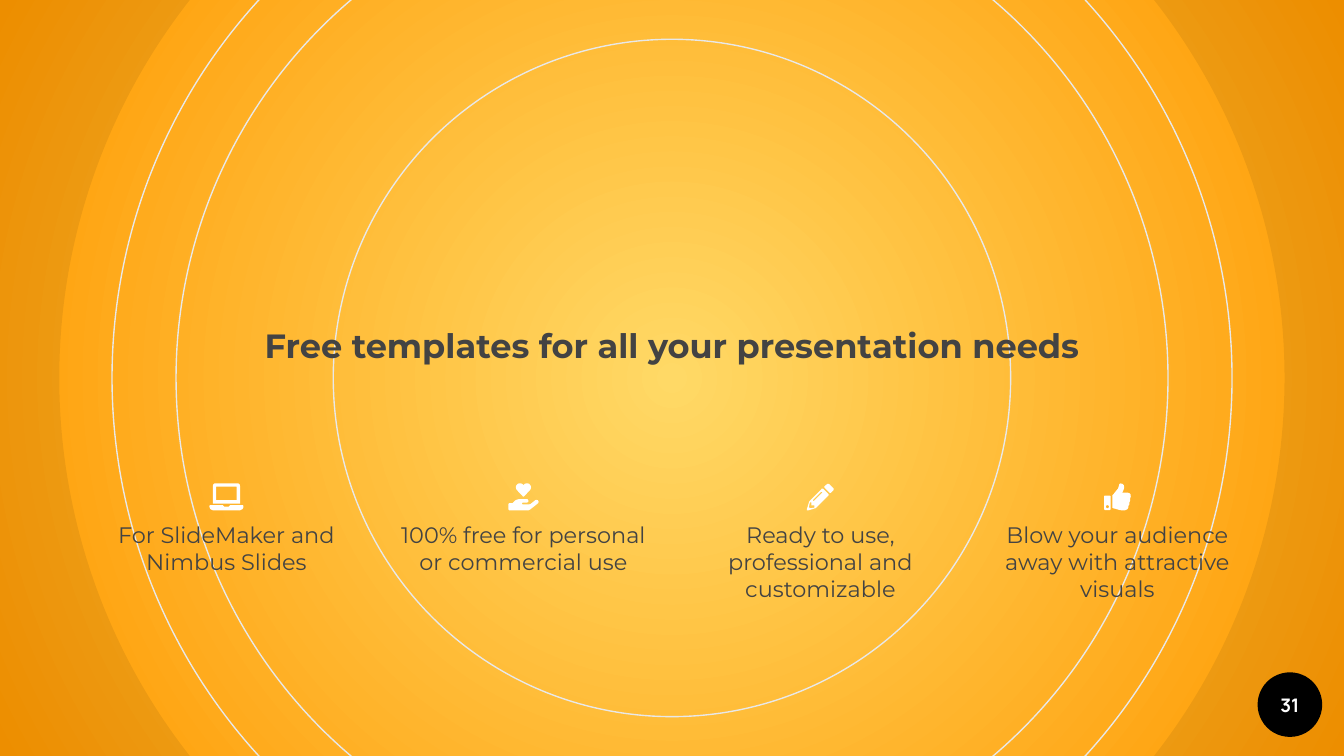
"""Build a closing slide with concentric rings, a headline and four icon captions."""
from typing import NamedTuple

from lxml import etree
from pptx import Presentation
from pptx.dml.color import RGBColor
from pptx.enum.shapes import MSO_SHAPE
from pptx.enum.text import MSO_ANCHOR, PP_ALIGN
from pptx.oxml.ns import qn
from pptx.util import Pt

OVAL, DONUT = MSO_SHAPE.OVAL, MSO_SHAPE.DONUT
TOP, MIDDLE, CENTER = MSO_ANCHOR.TOP, MSO_ANCHOR.MIDDLE, PP_ALIGN.CENTER

YELLOW = RGBColor(0xFF, 0xD9, 0x66)
ORANGE = RGBColor(0xFF, 0x99, 0x00)
RING_GREY = RGBColor(0xE8, 0xE8, 0xE8)
DARK_GREY = RGBColor(0x43, 0x43, 0x43)
BLACK = RGBColor(0x00, 0x00, 0x00)
WHITE = RGBColor(0xFF, 0xFF, 0xFF)

SLIDE_W, SLIDE_H = 720, 405
RING_DIAMETERS = (600, 531.4, 362.9)
DONUT_DIAMETER = 830.9
BADGE_X, BADGE_Y, BADGE_DIAMETER = 691, 377.5, 34.6
CAPTION_W, CAPTION_H, CAPTION_TOP = 133, 50.4, 279.4
COLUMN_PITCH = 159.1
ICON_TOP = 259
ICON_UNIT = Pt(0.1)

Contour = list[tuple[int, int]]


class Feature(NamedTuple):
    caption: str
    icon_width: float
    contours: list[Contour]


LAPTOP = [
    [(36, 18), (146, 18), (146, 90), (36, 90)],
    [(28, 0), (21, 4), (18, 14), (18, 108), (164, 108), (164, 14), (161, 4), (154, 0)],
    [(3, 117), (0, 120), (0, 127), (5, 138), (18, 144), (164, 144), (177, 138),
     (182, 127), (182, 120), (179, 117), (110, 117), (104, 124), (78, 124), (72, 117)],
]
HEART_IN_HAND = [
    [(81, 9), (72, 1), (62, 0), (52, 1), (43, 11), (40, 20), (43, 32), (48, 38),
     (78, 70), (81, 71), (84, 70), (114, 38), (119, 32), (122, 20), (119, 11),
     (110, 1), (100, 0), (90, 1)],
    [(58, 84), (46, 87), (36, 92), (22, 106), (5, 106), (0, 111), (0, 139), (5, 144),
     (108, 144), (117, 140), (160, 106), (162, 98), (158, 90), (150, 88), (144, 90),
     (121, 109), (114, 112), (76, 112), (72, 108), (76, 103), (100, 103), (107, 99),
     (108, 92), (104, 86), (99, 84)],
]
PENCIL = [
    [(110, 2), (118, 2), (143, 27), (143, 35), (128, 50), (122, 50), (93, 21), (93, 16)],
    [(86, 28), (80, 28), (12, 97), (0, 136), (0, 144), (8, 144), (48, 132),
     (116, 64), (116, 58)],
    [(80, 45), (83, 48), (37, 94), (33, 94), (31, 90), (76, 45)],
    [(24, 101), (24, 117), (40, 117), (40, 130), (17, 133), (10, 127), (16, 101)],
]
THUMB_UP = [
    [(18, 116), (24, 119), (27, 125), (24, 131), (18, 134), (12, 131), (9, 125), (12, 119)],
    [(3, 65), (0, 69), (0, 139), (4, 143), (31, 143), (35, 139), (35, 69), (31, 65)],
    [(88, 0), (82, 3), (79, 14), (75, 28), (66, 38), (52, 56), (44, 64), (44, 130),
     (48, 133), (60, 136), (80, 142), (92, 144), (112, 144), (124, 139), (130, 130),
     (130, 121), (136, 113), (136, 102), (140, 92), (139, 82), (143, 72), (142, 60),
     (138, 54), (128, 50), (97, 50), (104, 36), (108, 24), (106, 10), (98, 2)],
]
FEATURES = [
    Feature("For SlideMaker and Nimbus Slides", 18.2, LAPTOP),
    Feature("100% free for personal or commercial use", 16.2, HEART_IN_HAND),
    Feature("Ready to use, professional and customizable", 14.4, PENCIL),
    Feature("Blow your audience away with attractive visuals", 14.3, THUMB_UP),
]


def set_background(s) -> None:
    """Fill the slide with a gradient radiating from its centre."""
    fill = s.background.fill
    fill.gradient()
    for stop, color in zip(fill.gradient_stops, (YELLOW, ORANGE)):
        stop.color.rgb = color
    grad = s.element.find(".//" + qn("a:gradFill"))
    grad.remove(grad.find(qn("a:lin")))
    radial = etree.SubElement(grad, qn("a:path"), {"path": "circle"})
    etree.SubElement(radial, qn("a:fillToRect"), dict.fromkeys("ltrb", "50000"))


def add_round(s, kind, diameter: float, x: float = SLIDE_W / 2, y: float = SLIDE_H / 2):
    """Add an unlined round shape centred on a point."""
    sp = s.shapes.add_shape(kind, Pt(x - diameter / 2), Pt(y - diameter / 2),
                            Pt(diameter), Pt(diameter))
    sp.shadow.inherit = False
    sp.line.fill.background()
    return sp


def fill_solid(sp, color: RGBColor) -> None:
    """Give a shape one plain colour."""
    sp.fill.solid()
    sp.fill.fore_color.rgb = color


def set_text(sp, text: str, size: float, font: str, color: RGBColor,
             bold: bool = False, anchor=TOP) -> None:
    """Write one centred paragraph without margins."""
    tf = sp.text_frame
    tf.word_wrap = True
    tf.vertical_anchor = anchor
    tf.margin_left = tf.margin_right = tf.margin_top = tf.margin_bottom = 0
    p = tf.paragraphs[0]
    p.text = text
    p.alignment = CENTER
    p.font.size, p.font.name, p.font.bold = Pt(size), font, bold
    p.font.color.rgb = color


def add_feature(s, feature: Feature, center: float) -> None:
    """Add a grouped icon and caption centred on a column."""
    shapes = s.shapes.add_group_shape().shapes
    box = shapes.add_textbox(Pt(center - CAPTION_W / 2), Pt(CAPTION_TOP),
                             Pt(CAPTION_W), Pt(CAPTION_H))
    set_text(box, feature.caption, 12, "Montserrat", DARK_GREY)
    first, *others = feature.contours
    builder = shapes.build_freeform(*first[0], scale=ICON_UNIT)
    builder.add_line_segments(first[1:])
    for contour in others:
        builder.move_to(*contour[0])
        builder.add_line_segments(contour[1:])
    icon = builder.convert_to_shape(Pt(center - feature.icon_width / 2), Pt(ICON_TOP))
    icon.shadow.inherit = False
    icon.line.fill.background()
    fill_solid(icon, WHITE)


def main() -> None:
    """Build and save the slide."""
    prs = Presentation()
    prs.slide_width, prs.slide_height = Pt(SLIDE_W), Pt(SLIDE_H)
    s = prs.slides.add_slide(prs.slide_layouts[6])
    set_background(s)

    for diameter in RING_DIAMETERS:
        ring = add_round(s, OVAL, diameter)
        ring.fill.background()
        ring.line.color.rgb = RING_GREY
        ring.line.width = Pt(0.75)

    shade = add_round(s, DONUT, DONUT_DIAMETER)
    shade.adjustments[0] = 0.105
    fill_solid(shade, BLACK)
    color = shade.element.spPr.find(qn("a:solidFill")).find(qn("a:srgbClr"))
    etree.SubElement(color, qn("a:alpha"), {"val": "7000"})

    badge = add_round(s, OVAL, BADGE_DIAMETER, BADGE_X, BADGE_Y)
    fill_solid(badge, BLACK)
    set_text(badge, "31", 10, "Manrope", WHITE, bold=True, anchor=MIDDLE)

    title = s.shapes.add_textbox(Pt(87), Pt(174.2), Pt(546), Pt(21))
    set_text(title, "Free templates for all your presentation needs", 18,
             "Montserrat", DARK_GREY, bold=True)

    for i, feature in enumerate(FEATURES):
        offset = i - (len(FEATURES) - 1) / 2
        add_feature(s, feature, SLIDE_W / 2 + offset * COLUMN_PITCH)

    prs.save("out.pptx")


if __name__ == "__main__":
    main()
